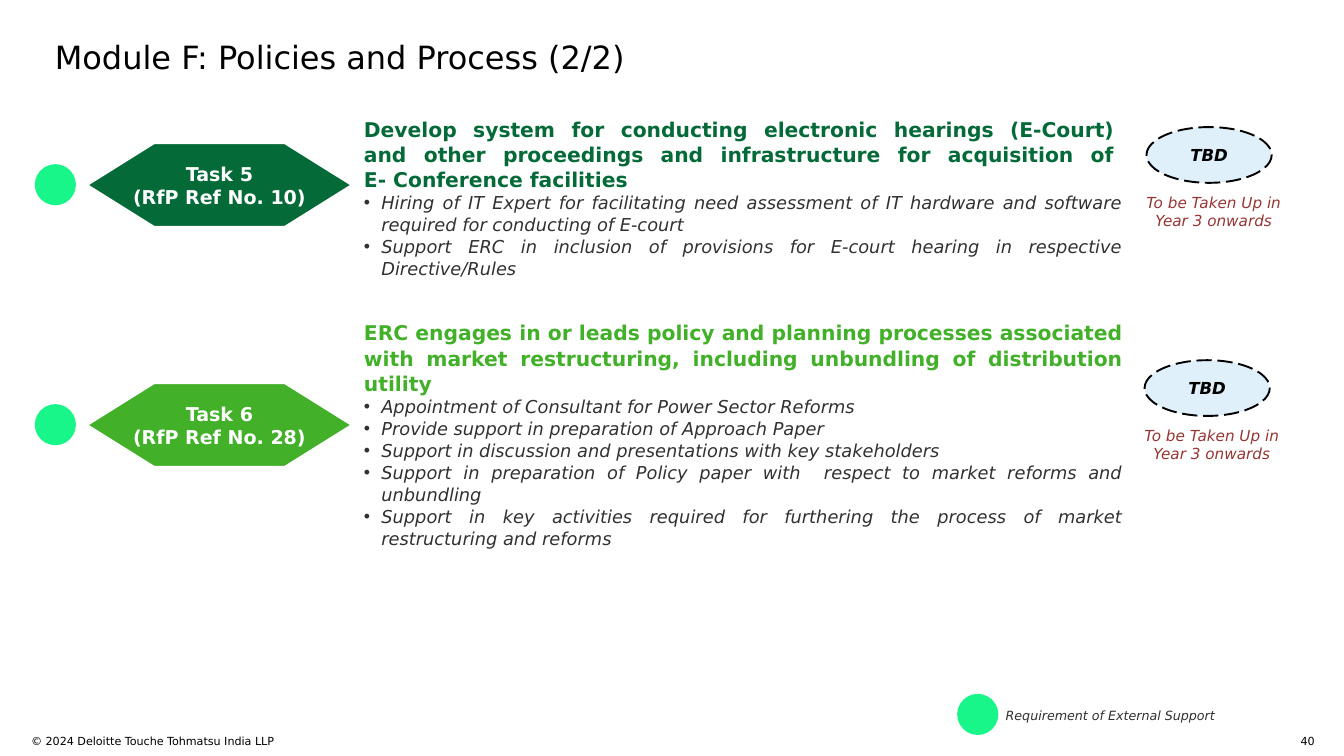
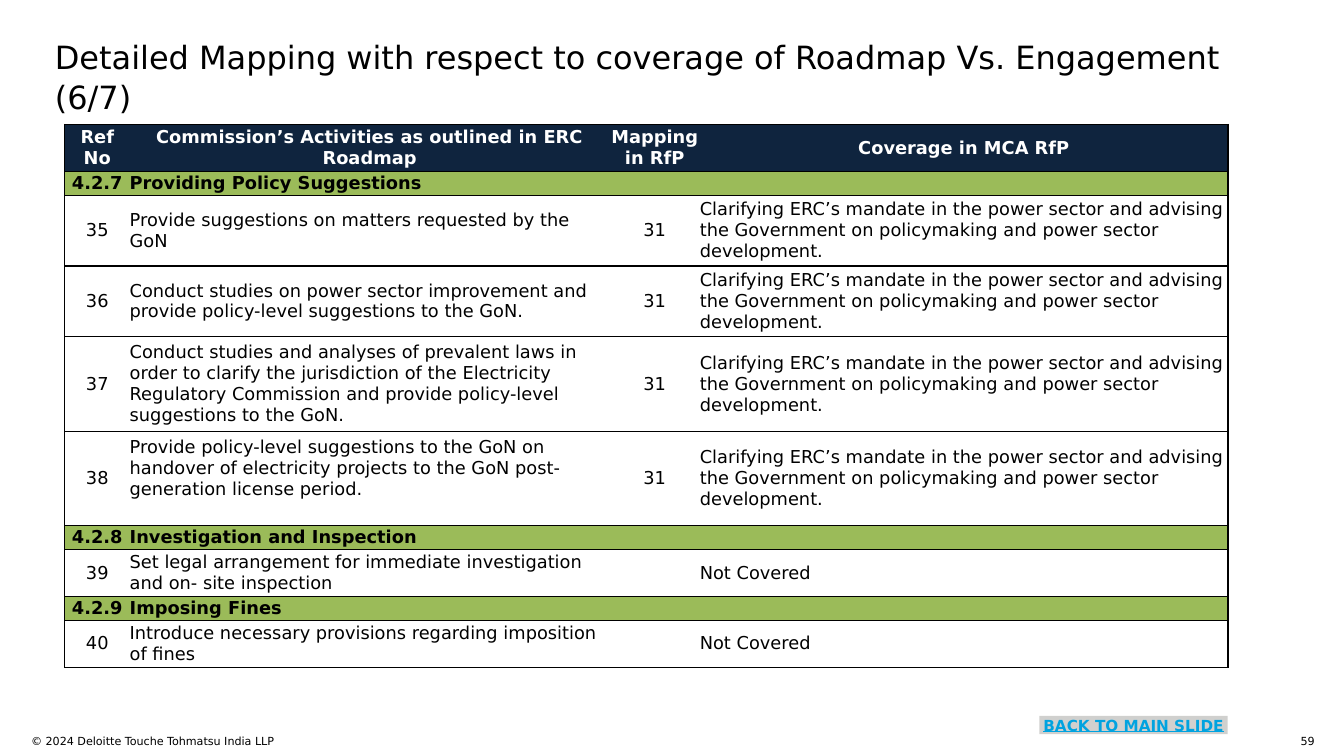
from lxml import etree
from pptx import Presentation
from pptx.dml.color import RGBColor
from pptx.enum.dml import MSO_LINE
from pptx.enum.shapes import MSO_SHAPE
from pptx.enum.text import MSO_ANCHOR, MSO_AUTO_SIZE, PP_ALIGN
from pptx.oxml.ns import qn
from pptx.util import Pt

LEFT, CENTER, RIGHT, JUSTIFY = PP_ALIGN.LEFT, PP_ALIGN.CENTER, PP_ALIGN.RIGHT, PP_ALIGN.JUSTIFY
TOP, MIDDLE = MSO_ANCHOR.TOP, MSO_ANCHOR.MIDDLE
OVAL, HEXAGON, RECTANGLE = MSO_SHAPE.OVAL, MSO_SHAPE.HEXAGON, MSO_SHAPE.RECTANGLE

FONT = "DejaVu Sans"
BLACK = RGBColor(0x00, 0x00, 0x00)
WHITE = RGBColor(0xFF, 0xFF, 0xFF)
GREY = RGBColor(0x31, 0x31, 0x31)
DARK_GREEN = RGBColor(0x04, 0x6A, 0x38)
GREEN = RGBColor(0x43, 0xB0, 0x2A)
MINT = RGBColor(0x18, 0xF6, 0x89)
PALE_BLUE = RGBColor(0xE0, 0xF0, 0xFA)
MAROON = RGBColor(0x96, 0x36, 0x34)
NAVY = RGBColor(0x0F, 0x24, 0x3E)
OLIVE = RGBColor(0x9B, 0xBB, 0x59)
SILVER = RGBColor(0xD0, 0xD0, 0xCE)
LINK_BLUE = RGBColor(0x00, 0xA3, 0xE0)


def add_text(tf, lines, size, color, align=LEFT, anchor=TOP, bold=False, italic=False, wrap=True):
    """Fill a text frame without insets, one paragraph per line."""
    tf.margin_left = tf.margin_right = tf.margin_top = tf.margin_bottom = 0
    tf.vertical_anchor = anchor
    tf.word_wrap = wrap
    for i, line in enumerate(lines):
        p = tf.add_paragraph() if i else tf.paragraphs[0]
        p.alignment = align
        r = p.add_run()
        r.text = line
        r.font.name, r.font.size, r.font.color.rgb = FONT, Pt(size), color
        r.font.bold, r.font.italic = bold, italic


def add_shape(s, kind, x, y, w, h, fill):
    """Add a plain filled shape without line or shadow."""
    sp = s.shapes.add_shape(kind, Pt(x), Pt(y), Pt(w), Pt(h))
    sp.shadow.inherit = False
    sp.fill.solid()
    sp.fill.fore_color.rgb = fill
    sp.line.fill.background()
    return sp


prs = Presentation()
prs.slide_width, prs.slide_height = Pt(1058.4), Pt(595.44)

# Title and footer of every slide
PAGES = [
    (3, "Module F: Policies and Process (2/2)", "40"),
    (5, "Detailed Mapping with respect to coverage of Roadmap Vs. Engagement (6/7)", "59"),
]
for layout, title, number in PAGES:
    s = prs.slides.add_slide(prs.slide_layouts[layout])
    sp = s.shapes.title
    sp.left, sp.top, sp.width, sp.height = Pt(43.2), Pt(27.4), Pt(969), Pt(29)
    sp.text_frame.auto_size = MSO_AUTO_SIZE.NONE
    add_text(sp.text_frame, [title], 25.2, BLACK)
    sp.text_frame.paragraphs[0].line_spacing = 1.06
    for x, w, text, align in [
        (24.5, 465, "© 2024 Deloitte Touche Tohmatsu India LLP", LEFT),
        (1008.7, 26.6, number, RIGHT),
    ]:
        sp = s.shapes.add_textbox(Pt(x), Pt(578.2), Pt(w), Pt(11))
        add_text(sp.text_frame, [text], 8.8, BLACK, align)

# Slide 1: tasks
s = prs.slides[0]
TASKS = [
    # lines in hexagon, colour, hexagon top, list top, list height, TBD left, TBD top, heading, items
    (["Task 5", "(RfP Ref No. 10)"], DARK_GREEN, 113, 91.4, 126, 902.9, 100.1,
     "Develop  system  for  conducting  electronic  hearings  (E-Court)  and  other  proceedings  "
     "and  infrastructure  for  acquisition  of  E- Conference facilities",
     ["Hiring of IT Expert for facilitating need assessment of IT hardware and software required "
      "for conducting of E-court",
      "Support ERC in inclusion of provisions for E-court hearing in respective Directive/Rules"]),
    (["Task 6", "(RfP Ref No. 28)"], GREEN, 302, 252, 177, 901.4, 283.7,
     "ERC engages in or leads policy and planning processes associated with market restructuring, "
     "including unbundling of distribution utility",
     ["Appointment of Consultant for Power Sector Reforms",
      "Provide support in preparation of Approach Paper",
      "Support in discussion and presentations with key stakeholders",
      "Support in preparation of Policy paper with  respect to market reforms and unbundling",
      "Support in key activities required for furthering the process of market restructuring and "
      "reforms"]),
]
for i, (label, color, hex_y, list_y, list_h, tbd_x, tbd_y, heading, items) in enumerate(TASKS):
    # Support marker and task hexagon
    add_shape(s, OVAL, 27.4, hex_y + 16.3, 32.4, 32.4, MINT)
    sp = add_shape(s, HEXAGON, 69.1, hex_y, 207.4, 65.5, color)
    sp.adjustments[0] = 0.8
    sp.line.color.rgb, sp.line.width = WHITE, Pt(1)
    add_text(sp.text_frame, label, 15, WHITE, CENTER, MIDDLE, bold=True, wrap=False)

    # Heading and bulleted activities
    sp = s.placeholders[i + 1]
    sp.left, sp.top, sp.width, sp.height = Pt(286.6), Pt(list_y), Pt(597.6), Pt(list_h)
    tf = sp.text_frame
    tf.auto_size = MSO_AUTO_SIZE.NONE
    add_text(tf, [heading] + items, 14, GREY, JUSTIFY, italic=True)
    for j, p in enumerate(tf.paragraphs):
        pPr = p._p.get_or_add_pPr()
        if j:
            pPr.set("marL", str(Pt(13.7)))
            pPr.set("indent", str(Pt(-13.7)))
            etree.SubElement(pPr, qn("a:buChar"), char="•")
        else:
            pPr.set("marL", "0")
            pPr.set("indent", "0")
            etree.SubElement(pPr, qn("a:buNone"))
            font = p.runs[0].font
            font.size, font.color.rgb = Pt(16), color
            font.bold, font.italic = True, False
        p.space_before = Pt(0)
        p.line_spacing = 1.03

    # Status
    sp = add_shape(s, OVAL, tbd_x, tbd_y, 98.6, 43.9, PALE_BLUE)
    sp.line.color.rgb, sp.line.width = BLACK, Pt(1.5)
    sp.line.dash_style = MSO_LINE.LONG_DASH
    add_text(sp.text_frame, ["TBD"], 13, BLACK, CENTER, MIDDLE, bold=True, italic=True)
    sp = s.shapes.add_textbox(Pt(tbd_x - 2.2), Pt(tbd_y + 51.8), Pt(110.2), Pt(29))
    add_text(sp.text_frame, ["To be Taken Up in Year 3 onwards"], 12, MAROON, CENTER, italic=True)

# Legend
add_shape(s, OVAL, 753.8, 546.5, 32.4, 32.4, MINT)
sp = s.shapes.add_textbox(Pt(792), Pt(557.3), Pt(204.5), Pt(12.2))
add_text(sp.text_frame, ["Requirement of External Support"], 10, GREY, italic=True)

# Slide 2: mapping table
s = prs.slides[1]
MANDATE = ("Clarifying ERC’s mandate in the power sector and advising the Government on "
           "policymaking and power sector development.")
LINE_HEIGHT = 18.6
COL_WIDTHS = [51, 378, 71, 416]
ROWS = [
    # height in lines, cell texts
    (2, ["Ref No", "Commission’s Activities as outlined in ERC Roadmap", "Mapping in RfP",
         "Coverage in MCA RfP"]),
    (1, ["4.2.7", "Providing Policy Suggestions", "", ""]),
    (3, ["35", "Provide suggestions on matters requested by the GoN", "31", MANDATE]),
    (3, ["36", "Conduct studies on power sector improvement and provide policy-level suggestions "
         "to the GoN.", "31", MANDATE]),
    (4, ["37", "Conduct studies and analyses of prevalent laws in order to clarify the "
         "jurisdiction of the Electricity Regulatory Commission and provide policy-level "
         "suggestions to the GoN.", "31", MANDATE]),
    (4, ["38", "Provide policy-level suggestions to the GoN on handover of electricity projects "
         "to the GoN post-generation license period.", "31", MANDATE]),
    (1, ["4.2.8", "Investigation and Inspection", "", ""]),
    (2, ["39", "Set legal arrangement for immediate investigation and on- site inspection", "",
         "Not Covered"]),
    (1, ["4.2.9", "Imposing Fines", "", ""]),
    (2, ["40", "Introduce necessary provisions regarding imposition of fines", "", "Not Covered"]),
]
total = LINE_HEIGHT * sum(n for n, _ in ROWS)
table = s.shapes.add_table(len(ROWS), len(COL_WIDTHS), Pt(51.1), Pt(97.9),
                           Pt(sum(COL_WIDTHS)), Pt(total)).table
# Plain style without grid
table._tbl.tblPr.find(qn("a:tableStyleId")).text = "{2D5ABB26-0587-4C30-8999-92F81FD0307C}"
for col, width in zip(table.columns, COL_WIDTHS):
    col.width = Pt(width)
for i, (n, texts) in enumerate(ROWS):
    table.rows[i].height = Pt(LINE_HEIGHT * n)
    header, section = i == 0, n == 1
    for j, text in enumerate(texts):
        cell = table.cell(i, j)
        # Rules above and below each row, and at the outer sides
        tcPr = cell._tc.get_or_add_tcPr()
        sides = ["lnL"] * (j == 0) + ["lnR"] * (j == len(texts) - 1) + ["lnT", "lnB"]
        for side in sides:
            ln = etree.SubElement(tcPr, qn("a:" + side), w=str(Pt(1)))
            fill = etree.SubElement(ln, qn("a:solidFill"))
            etree.SubElement(fill, qn("a:srgbClr"), val=str(BLACK))
        if header or section:
            cell.fill.solid()
            cell.fill.fore_color.rgb = NAVY if header else OLIVE
        else:
            cell.fill.background()
        cell.margin_left = cell.margin_right = cell.margin_top = cell.margin_bottom = 0
        cell.vertical_anchor = MIDDLE
        p = cell.text_frame.paragraphs[0]
        if not text:
            etree.SubElement(p._p, qn("a:endParaRPr"), sz="1400")
            continue
        p.alignment = CENTER if header or j in (0, 2) else LEFT
        r = p.add_run()
        r.text = text
        r.font.name, r.font.size = FONT, Pt(14)
        r.font.bold = header or section
        r.font.color.rgb = WHITE if header else BLACK
# The activity of row 38 sits one line higher
table.cell(5, 1).margin_bottom = Pt(16.3)

# Back button
sp = add_shape(s, RECTANGLE, 818.6, 563.8, 148.3, 14.4, SILVER)
add_text(sp.text_frame, ["BACK TO MAIN SLIDE"], 12, LINK_BLUE, CENTER, bold=True, wrap=False)
sp.text_frame.paragraphs[0].runs[0].font.underline = True

prs.save("out.pptx")
